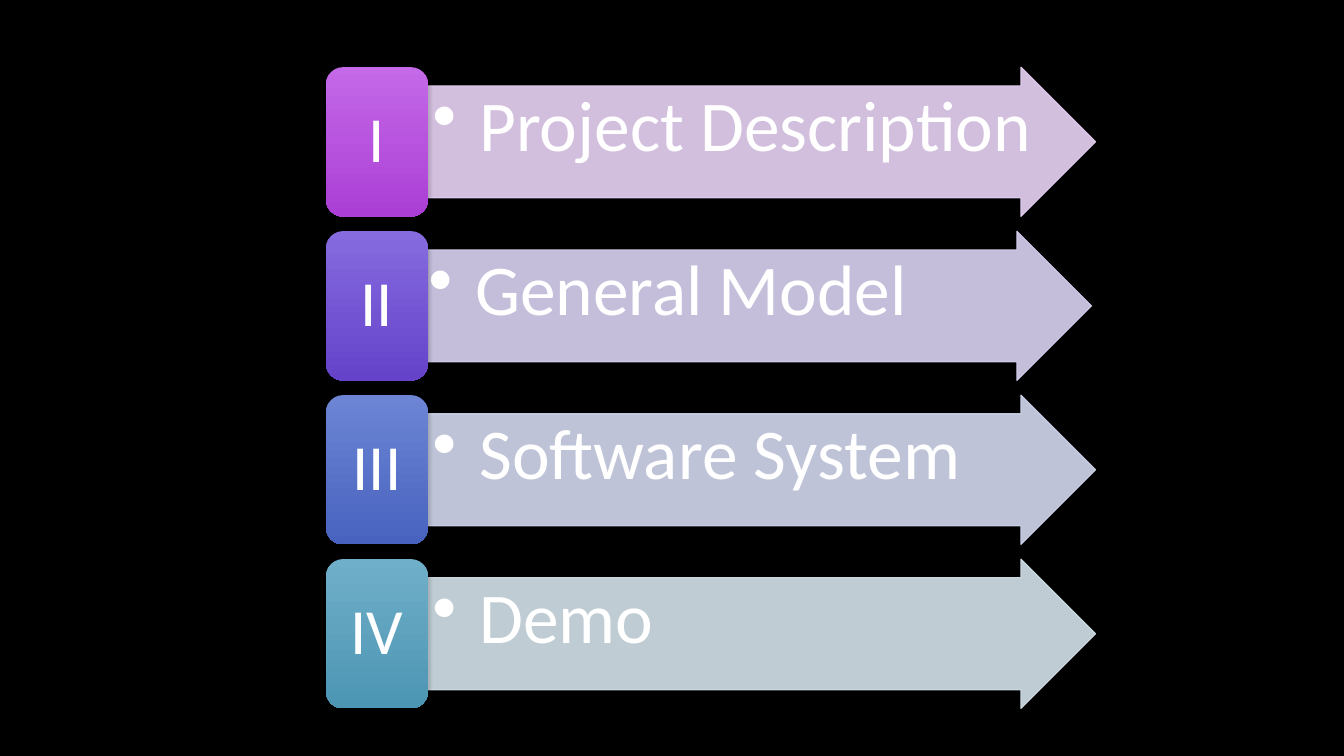
from dataclasses import dataclass

from lxml.etree import SubElement
from pptx import Presentation
from pptx.dml.color import RGBColor
from pptx.enum.shapes import MSO_SHAPE
from pptx.enum.text import MSO_ANCHOR, PP_ALIGN
from pptx.oxml.ns import qn
from pptx.shapes.autoshape import Shape
from pptx.slide import Slide
from pptx.util import Pt

COLORS = {
    "background": "000000",
    "text": "FFFFFF",
    "shadow": "000000",
    "orchid_top": "C469E8", "orchid_bottom": "AB3FD5", "orchid_pale": "E9D3F6",
    "violet_top": "866BDF", "violet_bottom": "6443CA", "violet_pale": "DAD3F3",
    "blue_top": "6D85D4", "blue_bottom": "4763BF", "blue_pale": "D3D9EF",
    "teal_top": "70AFC9", "teal_bottom": "4C95B3", "teal_pale": "D4E3EB",
}
TOP, PITCH, ROW_HEIGHT = 48, 117.12, 106.7
BADGE_LEFT, BADGE_WIDTH = 232.8, 73
ARROW_LEFT, ARROW_WIDTH = 306, 476.6


@dataclass
class Topic:
    numeral: str
    title: str
    hue: str
    shift: float = 0


TOPICS = [
    Topic("I", "Project Description", "orchid"),
    Topic("II", "General Model", "violet", shift=-2.9),
    Topic("III", "Software System", "blue"),
    Topic("IV", "Demo", "teal"),
]


def rgb(name: str) -> RGBColor:
    return RGBColor.from_string(COLORS[name])


def set_alpha(parent, percent: int) -> None:
    color = next(parent.iter(qn("a:srgbClr")))
    SubElement(color, qn("a:alpha"), val=str(percent * 1000))


def add_shadow(sp: Shape) -> None:
    sp.shadow.inherit = False
    effects = sp._element.spPr.find(qn("a:effectLst"))
    shadow = SubElement(effects, qn("a:outerShdw"), blurRad=str(Pt(4)),
                        dist=str(Pt(3)), dir="5400000", rotWithShape="0")
    SubElement(shadow, qn("a:srgbClr"), val=COLORS["shadow"])
    set_alpha(shadow, 35)


def write(sp: Shape, text: str, *, size: float, align: PP_ALIGN,
          anchor: MSO_ANCHOR, inset: tuple[float, float],
          bullet: bool = False) -> None:
    tf = sp.text_frame
    tf.word_wrap = True
    tf.vertical_anchor = anchor
    tf.margin_left = tf.margin_right = Pt(inset[0])
    tf.margin_top = tf.margin_bottom = Pt(inset[1])
    p = tf.paragraphs[0]
    p.alignment = align
    p.line_spacing = 0.9
    if bullet:
        p.level = 1
        pPr = p._p.get_or_add_pPr()
        pPr.set("marL", str(Pt(22)))
        pPr.set("indent", str(Pt(-22)))
        SubElement(pPr, qn("a:buChar"), char="•")
    r = p.add_run()
    r.text = text
    r.font.size = Pt(size)
    r.font.name = "Calibri"
    r.font.color.rgb = rgb("text")


def add_arrow(s: Slide, topic: Topic, top: float) -> None:
    sp = s.shapes.add_shape(MSO_SHAPE.RIGHT_ARROW, Pt(ARROW_LEFT + topic.shift),
                            Pt(top), Pt(ARROW_WIDTH), Pt(ROW_HEIGHT))
    sp.adjustments[0] = 0.75
    sp.adjustments[1] = 0.5
    pale = rgb(f"{topic.hue}_pale")
    sp.fill.solid()
    sp.fill.fore_color.rgb = pale
    sp.line.color.rgb = pale
    sp.line.width = Pt(0.75)
    spPr = sp._element.spPr
    for tag in ("a:solidFill", "a:ln"):
        set_alpha(spPr.find(qn(tag)), 90)
    add_shadow(sp)
    write(sp, f" {topic.title}", size=51, align=PP_ALIGN.LEFT,
          anchor=MSO_ANCHOR.TOP, inset=(2.9, 2.9), bullet=True)


def add_badge(s: Slide, topic: Topic, top: float) -> None:
    sp = s.shapes.add_shape(MSO_SHAPE.ROUNDED_RECTANGLE, Pt(BADGE_LEFT),
                            Pt(top), Pt(BADGE_WIDTH), Pt(ROW_HEIGHT))
    sp.fill.gradient()
    sp.fill.gradient_angle = 270
    for stop, position, end in zip(sp.fill.gradient_stops, (0, 1), ("top", "bottom")):
        stop.position = position
        stop.color.rgb = rgb(f"{topic.hue}_{end}")
    sp.line.fill.background()
    add_shadow(sp)
    write(sp, topic.numeral, size=46, align=PP_ALIGN.CENTER,
          anchor=MSO_ANCHOR.MIDDLE, inset=(10, 7.2))


def main() -> None:
    prs = Presentation()
    prs.slide_width, prs.slide_height = Pt(960), Pt(540)
    s = prs.slides.add_slide(prs.slide_layouts[6])
    s.background.fill.solid()
    s.background.fill.fore_color.rgb = rgb("background")
    for i, topic in enumerate(TOPICS):
        top = TOP + i * PITCH
        add_arrow(s, topic, top)
        add_badge(s, topic, top)
    prs.save("out.pptx")


if __name__ == "__main__":
    main()
